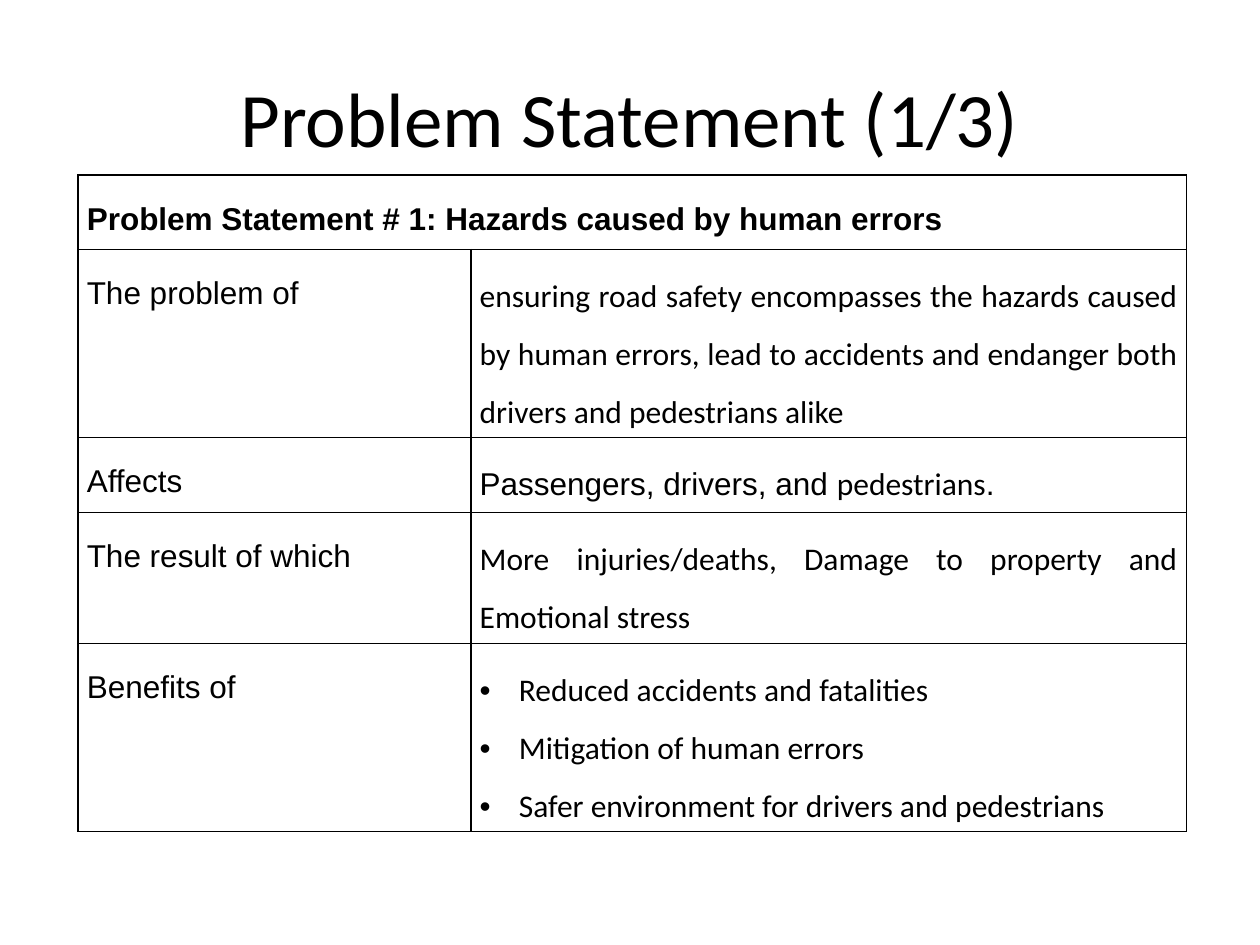
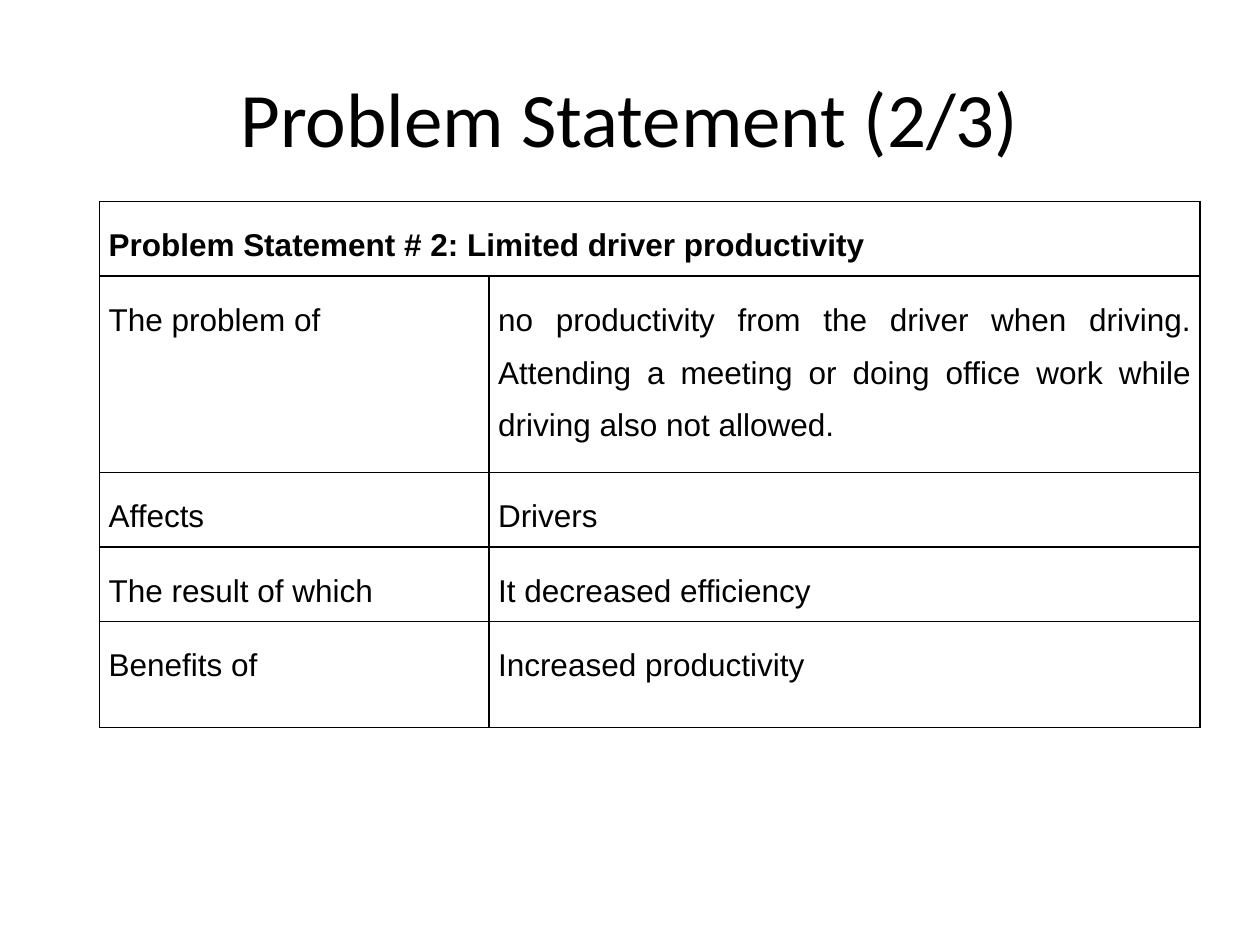
from lxml.etree import SubElement
from pptx import Presentation
from pptx.dml.color import RGBColor
from pptx.enum.text import MSO_ANCHOR, PP_ALIGN
from pptx.oxml import parse_xml
from pptx.oxml.ns import nsdecls, qn
from pptx.util import Cm, Pt

BLACK = RGBColor(0x00, 0x00, 0x00)
HEADING_FONT = "Calibri"
BODY_FONT = "Arial"
TITLE_BOX = (1.27, 0.76, 22.86, 3.18)
CELL_MARGIN = Cm(0.18)
BULLET_INDENT = Cm(0.79)
BORDER_WIDTH = Pt(1)
ASPECTS = ["The problem of", "Affects", "The result of which", "Benefits of"]

STATEMENTS = [
    {
        "title": "Problem Statement (1/3)",
        "heading": "Problem Statement # 1: Hazards caused by human errors",
        "corner": (1.57, 3.53),
        "columns": (7.92, 14.43),
        "rows": (1.35, 3.12, 1.35, 1.35, 3.2),
        "answers": [
            [[("ensuring road safety encompasses the hazards caused by human errors, "
               "lead to accidents and endanger both drivers and pedestrians alike",
               HEADING_FONT)]],
            [[("Passengers, drivers, and ", BODY_FONT), ("pedestrians", HEADING_FONT),
              (".", BODY_FONT)]],
            [[("More injuries/deaths, Damage to property and Emotional stress",
               HEADING_FONT)]],
            [[("Reduced accidents and fatalities", HEADING_FONT)],
             [("Mitigation of human errors", HEADING_FONT)],
             [("Safer environment for drivers and pedestrians", HEADING_FONT)]],
        ],
    },
    {
        "title": "Problem Statement (2/3)",
        "heading": "Problem Statement # 2: Limited driver productivity",
        "corner": (2.01, 4.06),
        "columns": (7.85, 14.33),
        "rows": (1.5, 3.96, 1.5, 1.5, 2.13),
        "answers": [
            [[("no productivity from the driver when driving. Attending a meeting or "
               "doing office work while driving also not allowed.", BODY_FONT)]],
            [[("Drivers", BODY_FONT)]],
            [[("It decreased efficiency", BODY_FONT)]],
            [[("Increased productivity", BODY_FONT)]],
        ],
    },
]


def add_run(paragraph, text, font, size, bold=False):
    run = paragraph.add_run()
    run.text = text
    run.font.name = font
    run.font.size = Pt(size)
    run.font.bold = bold
    run.font.color.rgb = BLACK


def add_title(slide, text, box):
    frame = slide.shapes.add_textbox(*map(Cm, box)).text_frame
    frame.word_wrap = True
    frame.vertical_anchor = MSO_ANCHOR.MIDDLE
    heading = frame.paragraphs[0]
    heading.alignment = PP_ALIGN.CENTER
    add_run(heading, text, HEADING_FONT, 44)


def add_bullet(paragraph):
    properties = paragraph._p.get_or_add_pPr()
    properties.set("marL", str(BULLET_INDENT))
    properties.set("indent", str(-BULLET_INDENT))
    colour = SubElement(properties, qn("a:buClr"))
    SubElement(colour, qn("a:srgbClr")).set("val", str(BLACK))
    SubElement(properties, qn("a:buFont")).set("typeface", BODY_FONT)
    SubElement(properties, qn("a:buChar")).set("char", "•")


def style_cell(cell):
    cell.margin_left = cell.margin_right = CELL_MARGIN
    cell.margin_top = cell.margin_bottom = CELL_MARGIN
    cell.fill.background()
    properties = cell._tc.get_or_add_tcPr()
    for position, side in enumerate(("lnL", "lnR", "lnT", "lnB")):
        border = parse_xml(
            f'<a:{side} {nsdecls("a")} w="{BORDER_WIDTH}"><a:solidFill>'
            f'<a:srgbClr val="{BLACK}"/></a:solidFill></a:{side}>')
        properties.insert(position, border)


def fill_cell(cell, lines, bold=False):
    frame = cell.text_frame
    for index, line in enumerate(lines):
        paragraph = frame.add_paragraph() if index else frame.paragraphs[0]
        paragraph.alignment = PP_ALIGN.JUSTIFY
        paragraph.line_spacing = 1.5
        if len(lines) > 1:
            add_bullet(paragraph)
        for text, font in line:
            add_run(paragraph, text, font, 18, bold)


def add_statement_table(slide, corner, columns, rows, heading, answers):
    box = (*corner, sum(columns), sum(rows))
    table = slide.shapes.add_table(len(rows), len(columns), *map(Cm, box)).table
    table.first_row = table.horz_banding = False
    for column, width in zip(table.columns, columns):
        column.width = Cm(width)
    for row, height in zip(table.rows, rows):
        row.height = Cm(height)
    for cell in table.iter_cells():
        style_cell(cell)
    table.cell(0, 0).merge(table.cell(0, 1))
    fill_cell(table.cell(0, 0), [[(heading, BODY_FONT)]], bold=True)
    for index, (aspect, answer) in enumerate(zip(ASPECTS, answers), start=1):
        fill_cell(table.cell(index, 0), [[(aspect, BODY_FONT)]])
        fill_cell(table.cell(index, 1), answer)


def add_statement_slide(deck, title, **statement):
    slide = deck.slides.add_slide(deck.slide_layouts[6])
    add_title(slide, title, TITLE_BOX)
    add_statement_table(slide, **statement)


def main():
    deck = Presentation()
    deck.slide_width, deck.slide_height = Cm(25.4), Cm(19.05)
    for statement in STATEMENTS:
        add_statement_slide(deck, **statement)
    deck.save("out.pptx")


if __name__ == "__main__":
    main()
